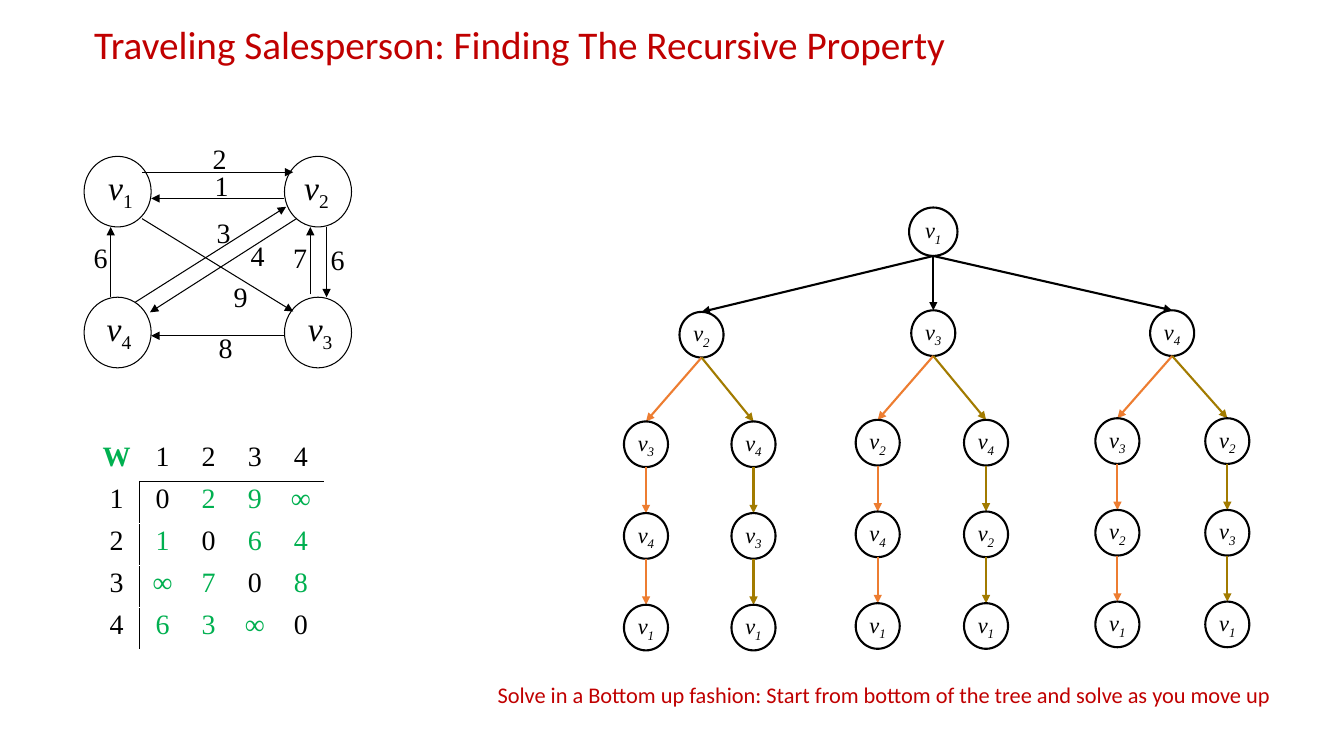
from dataclasses import dataclass

from lxml.etree import SubElement
from pptx import Presentation
from pptx.dml.color import RGBColor
from pptx.enum.shapes import MSO_CONNECTOR, MSO_SHAPE
from pptx.enum.text import MSO_ANCHOR, PP_ALIGN
from pptx.oxml.ns import qn
from pptx.util import Cm, Pt

TITLE = "Traveling Salesperson: Finding The Recursive Property"
ADVICE = "Solve in a Bottom up fashion: Start from bottom of the tree and solve as you move up"

WEIGHTS = [
    ["0", "2", "9", "∞"],
    ["1", "0", "6", "4"],
    ["∞", "7", "0", "8"],
    ["6", "3", "∞", "0"],
]

CITIES = [
    (1, 2.12, 3.94, 0.36),
    (2, 7.17, 3.94, 0.25),
    (4, 2.12, 7.49, 0.32),
    (3, 7.17, 7.49, 0.34),
]

ROADS = [
    (1, 2, (3.58, 4.34), (7.39, 4.34), (5.11, 3.43)),
    (2, 1, (7.16, 5.0), (3.81, 5.0), (5.16, 4.11)),
    (2, 4, (7.47, 5.51), (3.78, 7.87), (6.07, 5.89)),
    (4, 2, (3.4, 7.62), (7.21, 5.21), (5.21, 5.31)),
    (1, 3, (3.58, 5.51), (7.39, 7.85), (5.64, 6.93)),
    (4, 1, (2.79, 7.49), (2.79, 5.72), (2.11, 5.94)),
    (2, 3, (8.23, 5.72), (8.23, 7.49), (8.08, 5.99)),
    (3, 2, (7.82, 7.42), (7.82, 5.72), (7.14, 5.94)),
    (3, 4, (7.16, 8.46), (3.81, 8.46), (5.26, 8.21)),
]

ROOT = (1, 23.52, 5.23)
BRANCHES = [
    (2, 17.68, 7.86, 10.62, [(16.28, (3, 4, 1)), (18.99, (4, 3, 1))]),
    (3, 23.52, 7.82, 10.58, [(22.12, (2, 4, 1)), (24.85, (4, 2, 1))]),
    (4, 29.54, 7.82, 10.54, [(28.16, (3, 2, 1)), (30.93, (2, 3, 1))]),
]


@dataclass(frozen=True)
class Theme:
    heading: RGBColor = RGBColor(0xC0, 0x00, 0x00)
    ink: RGBColor = RGBColor(0x00, 0x00, 0x00)
    paper: RGBColor = RGBColor(0xFF, 0xFF, 0xFF)
    weight: RGBColor = RGBColor(0x00, 0xB0, 0x50)
    left_tour: RGBColor = RGBColor(0xED, 0x7D, 0x31)
    right_tour: RGBColor = RGBColor(0xA2, 0x7B, 0x00)
    sans: str = "Calibri"
    serif: str = "Times New Roman"
    title_size: int = 28
    city_size: int = 24
    weight_size: int = 20
    tree_size: int = 16
    advice_size: int = 16
    thin: float = 0.75
    rule: float = 1
    thick: float = 1.5


THEME = Theme()
CITY_WIDTH, CITY_HEIGHT = 1.69, 1.78
ROOT_SIZE = 1.22
STOP_WIDTH, STOP_HEIGHT, STOP_STEP = 1.11, 1.15, 2.31
COLUMN, ROW = 1.16, 1.06


def add_run(paragraph, text, size, color=THEME.ink, face=THEME.serif, italic=False, bold=False):
    run = paragraph.add_run()
    run.text = text
    run.font.name = face
    run.font.size = Pt(size)
    run.font.color.rgb = color
    run.font.italic = italic
    run.font.bold = bold
    return run


def add_vertex_name(paragraph, number, size, italic_index):
    add_run(paragraph, "v", size, italic=True)
    index = add_run(paragraph, str(number), size, italic=italic_index)
    index._r.get_or_add_rPr().set("baseline", "-25000")


def add_circle(shapes, left, top, width, height, line_width):
    circle = shapes.add_shape(MSO_SHAPE.OVAL, Cm(left), Cm(top), Cm(width), Cm(height))
    circle.shadow.inherit = False
    circle.fill.background()
    circle.line.color.rgb = THEME.ink
    circle.line.width = Pt(line_width)
    return circle


def add_arrow(shapes, start, end, color, width):
    ends = [Cm(value) for value in (*start, *end)]
    arrow = shapes.add_connector(MSO_CONNECTOR.STRAIGHT, *ends)
    arrow.line.color.rgb = color
    arrow.line.width = Pt(width)
    SubElement(arrow.line._get_or_add_ln(), qn("a:tailEnd"), type="triangle")
    SubElement(arrow._element.spPr, qn("a:effectLst"))


def add_label(shapes, left, top, width, height, text, size, color, face):
    label = shapes.add_textbox(Cm(left), Cm(top), Cm(width), Cm(height))
    label.text_frame.word_wrap = True
    paragraph = label.text_frame.paragraphs[0]
    add_run(paragraph, text, size, color, face)
    return paragraph


def draw_graph(shapes):
    for number, left, top, indent in CITIES:
        city = add_circle(shapes, left, top, CITY_WIDTH, CITY_HEIGHT, THEME.thin)
        city.fill.solid()
        city.fill.fore_color.rgb = THEME.paper
        frame = city.text_frame
        frame.margin_left, frame.margin_right = Cm(indent), 0
        frame.margin_top, frame.margin_bottom = 0, Cm(0.13)
        frame.vertical_anchor = MSO_ANCHOR.TOP
        frame.paragraphs[0].alignment = PP_ALIGN.LEFT
        add_vertex_name(frame.paragraphs[0], number, THEME.city_size, False)
    for origin, target, start, end, place in ROADS:
        add_arrow(shapes, start, end, THEME.ink, THEME.thin)
        add_label(shapes, *place, 1.1, 1.15, WEIGHTS[origin - 1][target - 1],
                  THEME.weight_size, THEME.ink, THEME.serif)


def add_stop(shapes, number, center, top, width=STOP_WIDTH, height=STOP_HEIGHT):
    stop = add_circle(shapes, center - width / 2, top, width, height, THEME.thick)
    frame = stop.text_frame
    frame.word_wrap = False
    frame.vertical_anchor = MSO_ANCHOR.MIDDLE
    frame.paragraphs[0].alignment = PP_ALIGN.CENTER
    add_vertex_name(frame.paragraphs[0], number, THEME.tree_size, True)
    return center, top + height


def draw_tree(shapes):
    root_foot = add_stop(shapes, *ROOT, ROOT_SIZE, ROOT_SIZE)
    for number, center, top, tour_top, tours in BRANCHES:
        add_arrow(shapes, root_foot, (center, top), THEME.ink, THEME.thick)
        branch_foot = add_stop(shapes, number, center, top)
        for (tour_center, stops), color in zip(tours, (THEME.left_tour, THEME.right_tour)):
            foot = branch_foot
            for level, stop in enumerate(stops):
                stop_top = tour_top + level * STOP_STEP
                add_arrow(shapes, foot, (tour_center, stop_top), color, THEME.thick)
                foot = add_stop(shapes, stop, tour_center, stop_top)


def add_border(cell, side):
    border = SubElement(cell._tc.get_or_add_tcPr(), qn(f"a:ln{side}"), w=str(Pt(THEME.rule)))
    fill = SubElement(border, qn("a:solidFill"))
    SubElement(fill, qn("a:srgbClr"), val=str(THEME.ink))


def draw_weights(shapes):
    numbers = [str(number + 1) for number in range(len(WEIGHTS))]
    rows = [["W", *numbers]] + [[number, *row] for number, row in zip(numbers, WEIGHTS)]
    count = len(rows)
    table = shapes.add_table(count, count, Cm(2.36), Cm(11.07),
                             Cm(COLUMN * count), Cm(ROW * count)).table
    table.first_row = table.horz_banding = False
    for column in table.columns:
        column.width = Cm(COLUMN)
    for r, row in enumerate(rows):
        table.rows[r].height = Cm(ROW)
        for c, value in enumerate(row):
            cell = table.cell(r, c)
            sides = {"L": r and c == 1, "R": r and c == 0, "T": r == 1 and c, "B": r == 0 and c}
            for side, present in sides.items():
                if present:
                    add_border(cell, side)
            cell.fill.background()
            cell.margin_left = cell.margin_right = Cm(0.1)
            cell.margin_top = cell.margin_bottom = Cm(0.05)
            corner = r == c == 0
            distance = r and c and r != c
            paragraph = cell.text_frame.paragraphs[0]
            paragraph.alignment = PP_ALIGN.CENTER
            add_run(paragraph, value, THEME.weight_size,
                    THEME.weight if corner or distance else THEME.ink, bold=corner)


def main():
    deck = Presentation()
    deck.slide_width, deck.slide_height = Cm(33.87), Cm(19.05)
    slide = deck.slides.add_slide(deck.slide_layouts[5])
    title = slide.shapes.title
    title.left, title.top, title.width, title.height = Cm(2.12), 0, Cm(27.97), Cm(2.34)
    title.text_frame.vertical_anchor = MSO_ANCHOR.MIDDLE
    heading = title.text_frame.paragraphs[0]
    heading.alignment = PP_ALIGN.LEFT
    heading.line_spacing = 0.9
    add_run(heading, TITLE, THEME.title_size, THEME.heading, THEME.sans)
    draw_graph(slide.shapes.add_group_shape().shapes)
    draw_weights(slide.shapes)
    advice = add_label(slide.shapes, 12.29, 17.17, 20.75, 0.81, ADVICE,
                       THEME.advice_size, THEME.heading, THEME.sans)
    advice.line_spacing = 0.8
    draw_tree(slide.shapes.add_group_shape().shapes)
    deck.save("out.pptx")


if __name__ == "__main__":
    main()
